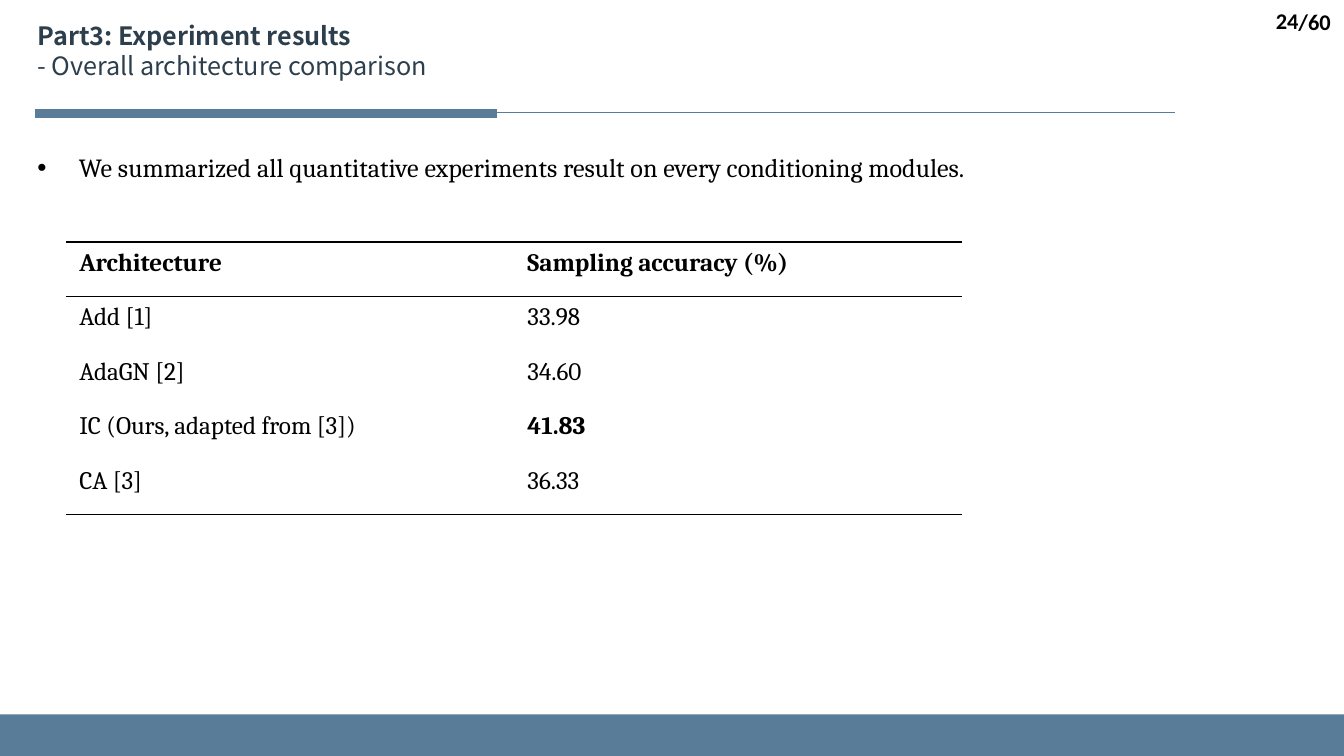
from lxml.etree import SubElement
from pptx import Presentation
from pptx.dml.color import RGBColor
from pptx.enum.shapes import MSO_CONNECTOR, MSO_SHAPE
from pptx.enum.text import MSO_ANCHOR, MSO_AUTO_SIZE, PP_ALIGN
from pptx.oxml import parse_xml
from pptx.oxml.ns import nsdecls, qn
from pptx.util import Inches, Pt

TITLE = "Part3: Experiment results"
SUBTITLE = "- Overall architecture comparison"
SUMMARY = "We summarized all quantitative experiments result on every conditioning modules."
RESULTS = [
    ("Architecture", "Sampling accuracy (%)"),
    ("Add [1]", "33.98"),
    ("AdaGN [2]", "34.60"),
    ("IC (Ours, adapted from [3])", "41.83"),
    ("CA [3]", "36.33"),
]
BEST = "41.83"
# text, left, top, width, height
PAGE_NUMBER = [("/60", 9.54, 0.01, 0.46, 0.3), ("24", 7.75, 0, 2.01, 0.31)]

COLORS = {"accent": "597D98", "title": "2D3F4C", "text": "000000"}
FONTS = {"title": "Noto Sans CJK SC", "page": "Calibri", "body": "Cambria"}
WIDTH = 10
HEIGHT = WIDTH * 9 / 16
FOOTER_HEIGHT = 0.31
RULE_LEFT, RULE_RIGHT, RULE_Y = 0.27, 8.74, 0.84
TEXT_LEFT = 0.18
TABLE_LEFT, TABLE_TOP, TABLE_WIDTH, TABLE_HEIGHT = 0.49, 1.8, 6.67, 2.03
NO_STYLE_NO_GRID = "{2D5ABB26-0587-4C30-8999-92F81FD0307C}"


def box(*lengths):
    return [Inches(length) for length in lengths]


def color(name):
    return RGBColor.from_string(COLORS[name])


def set_font(paragraph, face, size, ink="text", bold=False):
    font = paragraph.font
    font.name, font.size, font.bold = FONTS[face], Pt(size), bold
    font.color.rgb = color(ink)


def add_bar(slide, *place):
    bar = slide.shapes.add_shape(MSO_SHAPE.RECTANGLE, *box(*place))
    bar.shadow.inherit = False
    bar.fill.solid()
    bar.fill.fore_color.rgb = color("accent")
    bar.line.fill.background()
    return bar


def add_frame(slide):
    """Draw the footer band and the two-weight rule under the title."""
    add_bar(slide, 0, HEIGHT - FOOTER_HEIGHT, WIDTH, FOOTER_HEIGHT)
    rule = slide.shapes.add_connector(
        MSO_CONNECTOR.STRAIGHT, *box(RULE_RIGHT, RULE_Y, RULE_LEFT, RULE_Y))
    rule.line.color.rgb = color("accent")
    rule.line.width = Pt(0.5)
    SubElement(rule._element.spPr, qn("a:effectLst"))
    thick = add_bar(slide, RULE_LEFT, RULE_Y - 0.02, 3.42, 0.05)
    thick.line.color.rgb = color("accent")
    thick.line.width = Pt(1)
    SubElement(thick._element.spPr.find(qn("a:ln")), qn("a:miter"), lim="800000")


def add_title(slide):
    title = slide.shapes.title
    title.left, title.top, title.width, title.height = box(TEXT_LEFT, 0.1, 3.28, 0.56)
    frame = title.text_frame
    frame.word_wrap = False
    frame.auto_size = MSO_AUTO_SIZE.SHAPE_TO_FIT_TEXT
    frame.vertical_anchor = MSO_ANCHOR.TOP
    heading = frame.paragraphs[0]
    heading.alignment = PP_ALIGN.LEFT
    set_font(heading, "title", 13.5, "title")
    run = heading.add_run()
    run.text = TITLE
    run.font.bold = True
    heading.add_line_break()
    heading.add_run().text = SUBTITLE


def add_text(slide, text, *place):
    frame = slide.shapes.add_textbox(*box(*place)).text_frame
    frame.word_wrap = True
    frame.text = text
    return frame


def add_page_number(slide):
    for text, *place in PAGE_NUMBER:
        frame = add_text(slide, text, *place)
        frame.vertical_anchor = MSO_ANCHOR.MIDDLE
        number = frame.paragraphs[0]
        number.alignment = PP_ALIGN.RIGHT
        set_font(number, "page", 12, bold=True)


def add_summary(slide):
    frame = add_text(slide, SUMMARY, TEXT_LEFT, 1.08, 8.4, 0.34)
    frame.auto_size = MSO_AUTO_SIZE.SHAPE_TO_FIT_TEXT
    summary = frame.paragraphs[0]
    set_font(summary, "body", 14)
    props = summary._p.get_or_add_pPr()
    props.set("marL", str(Inches(0.31)))
    props.set("indent", str(-Inches(0.31)))
    bullet_font = parse_xml(f'<a:buFont {nsdecls("a")} typeface="Arial"/>')
    bullet = parse_xml(f'<a:buChar {nsdecls("a")} char="•"/>')
    props.insert(0, bullet_font)
    props.insert(1, bullet)


def set_borders(cell, ruled_sides):
    """Rule the given sides of a cell and clear the others."""
    ink = f'<a:solidFill><a:srgbClr val="{COLORS["text"]}"/></a:solidFill>'
    props = cell._tc.get_or_add_tcPr()
    for index, side in enumerate("LRTB"):
        fill = ink if side in ruled_sides else "<a:noFill/>"
        props.insert(index, parse_xml(
            f'<a:ln{side} {nsdecls("a")} w="{Pt(1)}">{fill}</a:ln{side}>'))


def add_results(slide):
    last = len(RESULTS) - 1
    borders = {0: "TB", 1: "T", last: "B"}
    table = slide.shapes.add_table(
        len(RESULTS), len(RESULTS[0]),
        *box(TABLE_LEFT, TABLE_TOP, TABLE_WIDTH, TABLE_HEIGHT)).table
    table.first_row = table.horz_banding = False
    table._tbl.tblPr.find(qn("a:tableStyleId")).text = NO_STYLE_NO_GRID
    for r, row in enumerate(RESULTS):
        for c, text in enumerate(row):
            cell = table.cell(r, c)
            cell.text = text
            cell.fill.background()
            set_font(cell.text_frame.paragraphs[0], "body", 13.5,
                     bold=r == 0 or text == BEST)
            set_borders(cell, borders.get(r, ""))


def main():
    deck = Presentation()
    deck.slide_width, deck.slide_height = box(WIDTH, HEIGHT)
    slide = deck.slides.add_slide(deck.slide_layouts[5])
    add_frame(slide)
    add_title(slide)
    add_page_number(slide)
    add_summary(slide)
    add_results(slide)
    deck.save("out.pptx")


if __name__ == "__main__":
    main()
